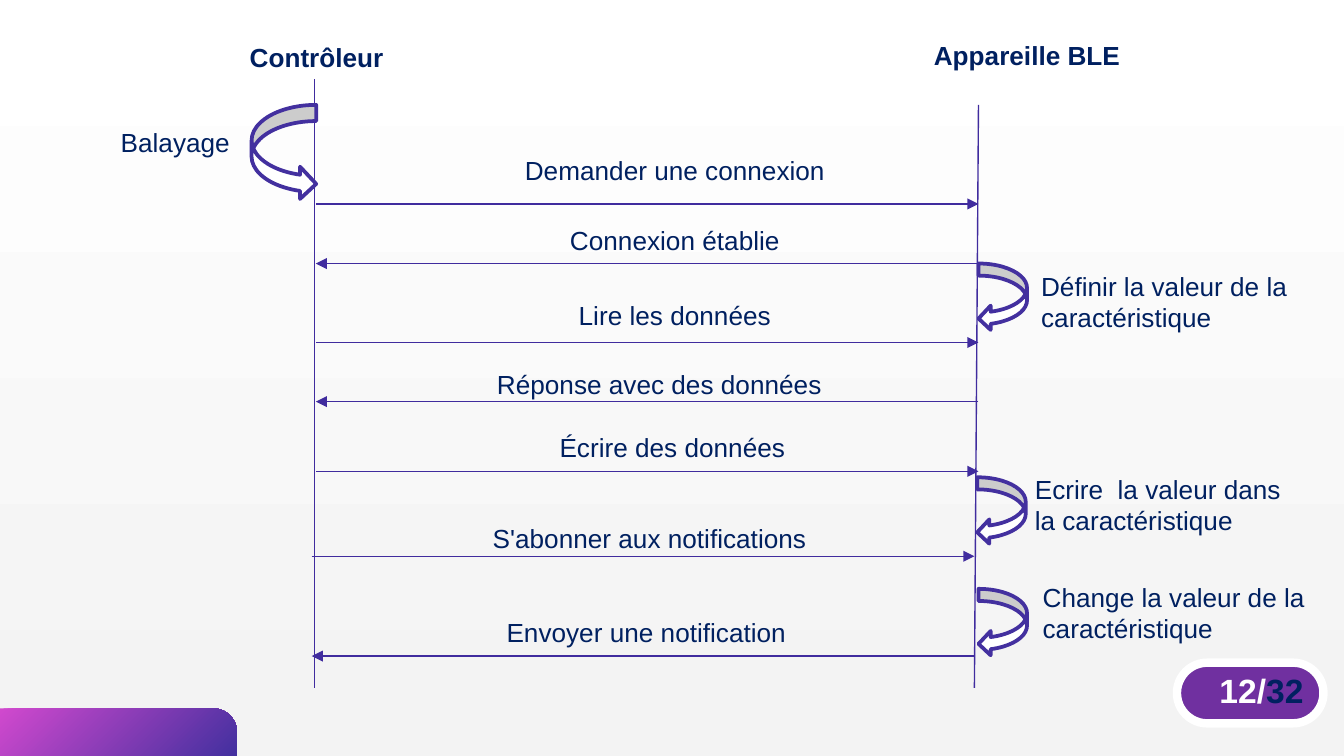
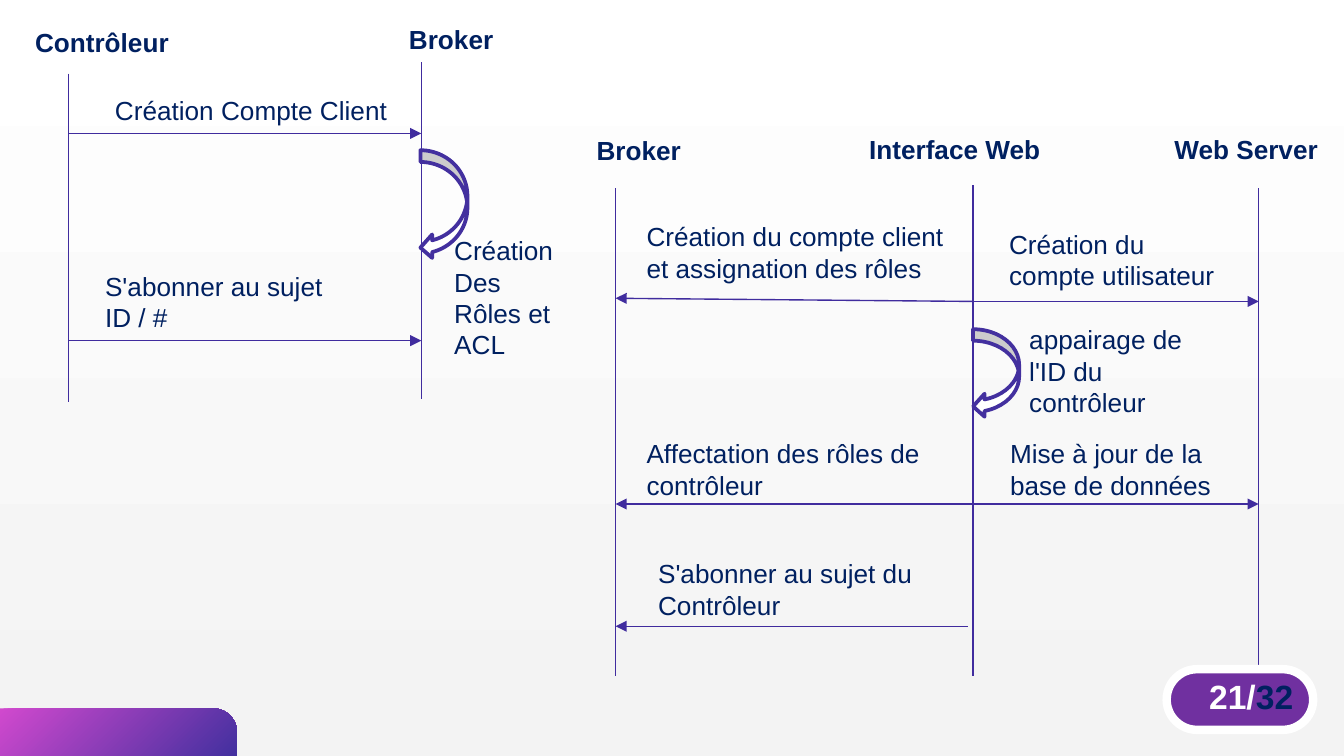
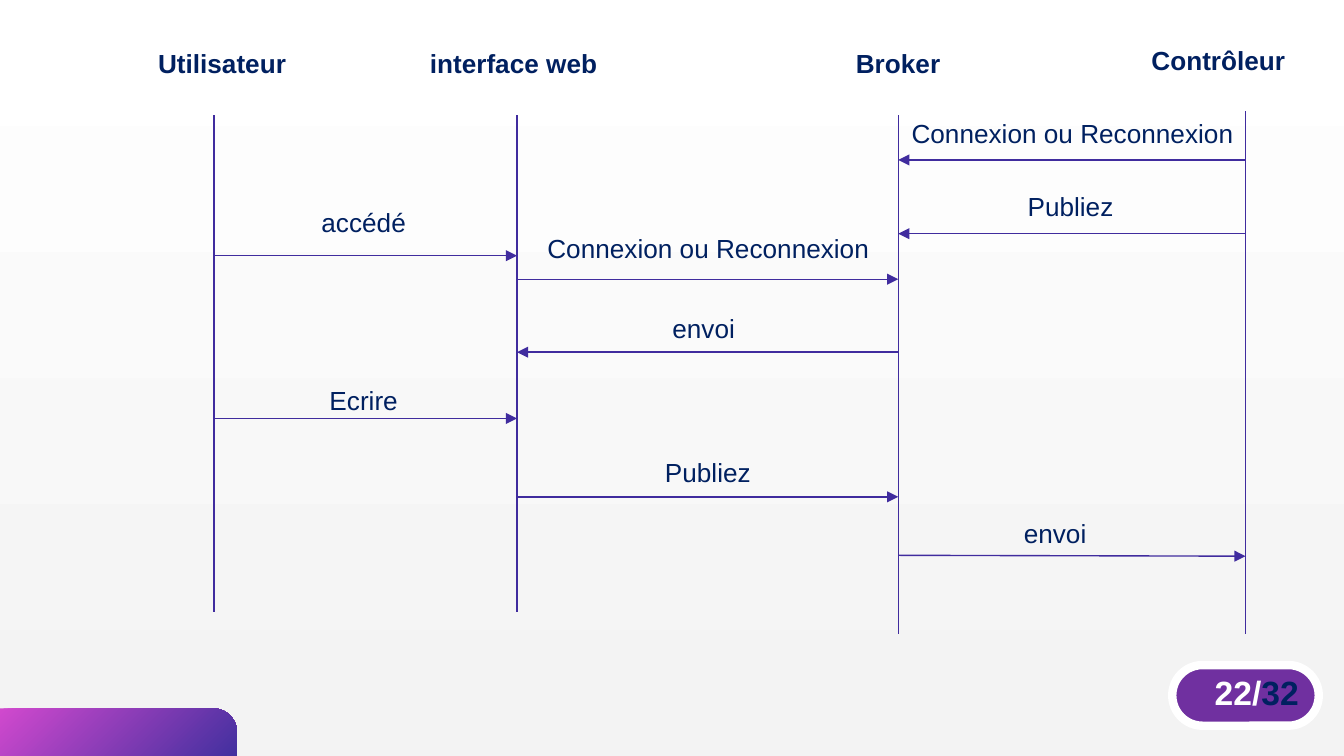
from pptx import Presentation
from pptx.dml.color import RGBColor
from pptx.enum.shapes import MSO_CONNECTOR, MSO_SHAPE
from pptx.enum.text import MSO_ANCHOR, MSO_AUTO_SIZE, PP_ALIGN
from pptx.oxml.ns import qn
from pptx.util import Pt
from lxml.etree import SubElement

COLORS = {
    "ink": "002060", "line": "402C9E", "indigo": "43309F", "pink": "D149CE",
    "badge": "7030A0", "white": "FFFFFF", "mist": "F3F3F3",
}
FONT = "Arial"
TOTAL = "32"
LEFT, CENTER = PP_ALIGN.LEFT, PP_ALIGN.CENTER
LEFT_ARROW, RIGHT_ARROW = MSO_SHAPE.CURVED_LEFT_ARROW, MSO_SHAPE.CURVED_RIGHT_ARROW


def rgb(name):
    return RGBColor.from_string(COLORS[name])


def fill_gradient(fill, start, end, clockwise):
    fill.gradient()
    fill.gradient_angle = 360 - clockwise
    for stop, name in zip(fill.gradient_stops, (start, end)):
        stop.color.rgb = rgb(name)


class SequenceDeck:
    """Sequence diagrams; all coordinates are in points."""

    def __init__(self):
        self.prs = Presentation()
        self.prs.slide_width, self.prs.slide_height = Pt(720), Pt(405)
        fill_gradient(self.prs.slide_master.background.fill, "white", "mist", 90)
        self.slide = None

    def new_slide(self):
        self.slide = self.prs.slides.add_slide(self.prs.slide_layouts[6])
        band = self.shape(MSO_SHAPE.ROUND_1_RECTANGLE, 0, 379.5, 127, 25.5)
        band.adjustments[0] = 0.5
        fill_gradient(band.fill, "pink", "indigo", 45)
        band.line.fill.background()

    def shape(self, kind, left, top, width, height):
        shape = self.slide.shapes.add_shape(kind, Pt(left), Pt(top), Pt(width), Pt(height))
        shape.shadow.inherit = False
        return shape

    def run(self, paragraph, text, size=14, bold=False, color="ink"):
        run = paragraph.add_run()
        run.text = text
        run.font.name, run.font.size, run.font.bold = FONT, Pt(size), bold
        run.font.color.rgb = rgb(color)

    def text(self, text, left, top, width, rows=1, align=LEFT, bold=False):
        height = 24.5 + 16.8 * (rows - 1)
        box = self.slide.shapes.add_textbox(Pt(left), Pt(top), Pt(width), Pt(height))
        frame = box.text_frame
        frame.word_wrap = True
        frame.auto_size = MSO_AUTO_SIZE.SHAPE_TO_FIT_TEXT
        for i, line in enumerate(text.split("\n")):
            paragraph = frame.add_paragraph() if i else frame.paragraphs[0]
            paragraph.alignment = align
            self.run(paragraph, line, bold=bold)

    def line(self, x1, y1, x2, y2, arrow=False):
        connector = self.slide.shapes.add_connector(
            MSO_CONNECTOR.STRAIGHT, Pt(x1), Pt(y1), Pt(x2), Pt(y2))
        connector.line.color.rgb = rgb("line")
        connector.line.width = Pt(0.75)
        properties = connector._element.spPr
        if arrow:
            SubElement(properties.find(qn("a:ln")), qn("a:tailEnd"), type="triangle")
        SubElement(properties, qn("a:effectLst"))

    def actor(self, name, x, top, bottom, header, align=LEFT, foot_x=None):
        """Lifeline with its name; header is (left, top, width)."""
        self.line(x, top, foot_x or x, bottom)
        self.text(name, *header, align=align, bold=True)

    def message(self, label, start, end, y, box, rows=1, align=CENTER, end_y=None):
        """Arrow with its label; box is (left, top, width)."""
        self.line(start, y, end, end_y or y, arrow=True)
        self.text(label, *box, rows=rows, align=align)

    def self_call(self, label, loop, box, rows=1, kind=LEFT_ARROW):
        """Curved arrow back to the same lifeline; loop is (left, top, width, height)."""
        arrow = self.shape(kind, *loop)
        arrow.fill.solid()
        arrow.fill.fore_color.rgb = rgb("white")
        arrow.line.color.rgb = rgb("indigo")
        arrow.line.width = Pt(2)
        self.text(label, *box, rows=rows)

    def page_badge(self, number, left, top):
        badge = self.shape(MSO_SHAPE.ROUNDED_RECTANGLE, left, top, 78.5, 32.5)
        badge.adjustments[0] = 0.5
        badge.fill.solid()
        badge.fill.fore_color.rgb = rgb("badge")
        badge.line.color.rgb = rgb("white")
        badge.line.width = Pt(4.5)
        frame = badge.text_frame
        frame.word_wrap = False
        frame.vertical_anchor = MSO_ANCHOR.MIDDLE
        frame.margin_left, frame.margin_right = Pt(18), 0
        frame.margin_top, frame.margin_bottom = 0, Pt(3.5)
        paragraph = frame.paragraphs[0]
        paragraph.alignment = LEFT
        self.run(paragraph, f"{number}/", 18, True, "white")
        self.run(paragraph, TOTAL, 18, True)


def ble_exchange(deck):
    deck.new_slide()
    controller, device = 169.2, 524.2
    deck.actor("Contrôleur", 168.5, 42.5, 368.5, (126.7, 18.5, 111))
    deck.actor("Appareille BLE", device, 56.2, 368.5, (493.2, 17.5, 148.5), foot_x=522)
    deck.self_call("Balayage", (134.8, 56.2, 34.6, 51), (57.6, 64, 85.5), kind=RIGHT_ARROW)

    requests = [
        ("Demander une connexion", 109.3, (214.3, 79, 294.5)),
        ("Lire les données", 183.5, (214.3, 157, 294.5)),
        ("Écrire des données", 252.5, (213, 227.5, 294.5)),
    ]
    for label, y, box in requests:
        deck.message(label, controller, device, y, box)
    replies = [
        ("Connexion établie", 141.2, (214.3, 116.5, 294.5)),
        ("Réponse avec des données", 215.2, (206, 193.8, 294.5)),
    ]
    for label, y, box in replies:
        deck.message(label, device, controller, y, box)
    deck.message("S'abonner aux notifications", 167, 522, 298, (210, 276.5, 276), rows=2)
    deck.message("Envoyer une notification", 522, 167, 351.5, (233.3, 326.8, 226))

    updates = [
        ("Définir la valeur de la caractéristique", device, 141.2, (550.7, 141.2, 201.5)),
        ("Ecrire  la valeur dans  la caractéristique", 523.5, 255.7, (547.3, 250, 160.5)),
        ("Change la valeur de la caractéristique", device, 315.5, (551.5, 307.7, 160.5)),
    ]
    for label, x, y, box in updates:
        deck.self_call(label, (x, y, 26, 36), box, rows=2)
    deck.page_badge(12, 630.5, 355)


def account_setup(deck):
    deck.new_slide()
    controller, client_broker = 36.7, 225.7
    broker, web, server = 329.8, 521.3, 674.3
    deck.actor("Contrôleur", controller, 39.5, 215.5, (11.7, 10.8, 88.5))
    deck.actor("Broker", client_broker, 33.5, 214, (183.7, 8.8, 116), CENTER)
    deck.actor("Broker", broker, 100.8, 362, (312.5, 68.4, 126))
    deck.actor("Interface Web", web, 99.3, 362, (458.5, 67.7, 126))
    deck.actor("Web Server", server, 100.8, 362, (622, 67.7, 118))

    deck.message("Création Compte Client", controller, client_broker, 71.5,
                 (54.5, 46.8, 175), align=LEFT)
    two_line_messages = [
        ("S'abonner au sujet\nID / #", controller, client_broker, 182.5, (49.2, 141.3, 175)),
        ("Création du compte utilisateur", web, server, 161.5, (533.5, 118.8, 131)),
        ("Mise à jour de la base de données", web, server, 270, (534, 231, 126)),
        ("Affectation des rôles de contrôleur", web, broker, 270, (339.3, 231, 171.5)),
        ("S'abonner au sujet du Contrôleur", 518.5, broker, 335.5, (345.5, 295.2, 175)),
    ]
    for label, start, end, y, box in two_line_messages:
        deck.message(label, start, end, y, box, rows=2, align=LEFT)
    deck.message("Création du compte client et assignation des rôles", web, broker, 161.5,
                 (339.3, 114.7, 180), rows=2, align=LEFT, end_y=159.8)

    deck.self_call("Création Des Rôles et ACL", (225.2, 80.5, 25.2, 58.5),
                   (236.2, 122.2, 78.5), rows=4)
    deck.self_call("appairage de l'ID du contrôleur", (web, 176.4, 24.7, 47.5),
                   (544.3, 169.8, 111), rows=3)
    deck.page_badge(21, 625, 358.5)


def command_flow(deck):
    deck.new_slide()
    user, web, broker, controller = 114.7, 277, 481.2, 667.3
    deck.actor("Utilisateur", user, 61.8, 327.7, (77.6, 21.6, 92))
    deck.actor("interface web", web, 61.8, 327.7, (223.2, 21.6, 107.3))
    deck.actor("Broker", broker, 61.8, 339.8, (427.5, 21.6, 107.3), CENTER)
    deck.actor("Contrôleur", controller, 59.6, 339.8, (609.8, 20.2, 89.3))

    messages = [
        ("accédé", user, web, 137, (136.6, 106.8, 116.5)),
        ("Connexion ou Reconnexion", web, broker, 149.6, (285.5, 121, 188)),
        ("envoi", broker, web, 188.7, (301, 163.6, 152)),
        ("Ecrire", user, web, 224.2, (136.6, 202.3, 116.5)),
        ("Publiez", web, broker, 266.2, (309, 241.2, 140.4)),
        ("Connexion ou Reconnexion", controller, broker, 85.7, (480.6, 59.6, 188)),
        ("Publiez", controller, broker, 125.2, (503.3, 98.6, 140.4)),
    ]
    for label, start, end, y, box in messages:
        deck.message(label, start, end, y, box)
    deck.message("envoi", broker, controller, 297.5, (489.3, 273.6, 152), end_y=298)
    deck.page_badge(22, 628, 356.3)


def main():
    deck = SequenceDeck()
    for build in (ble_exchange, account_setup, command_flow):
        build(deck)
    deck.prs.save("out.pptx")


if __name__ == "__main__":
    main()
